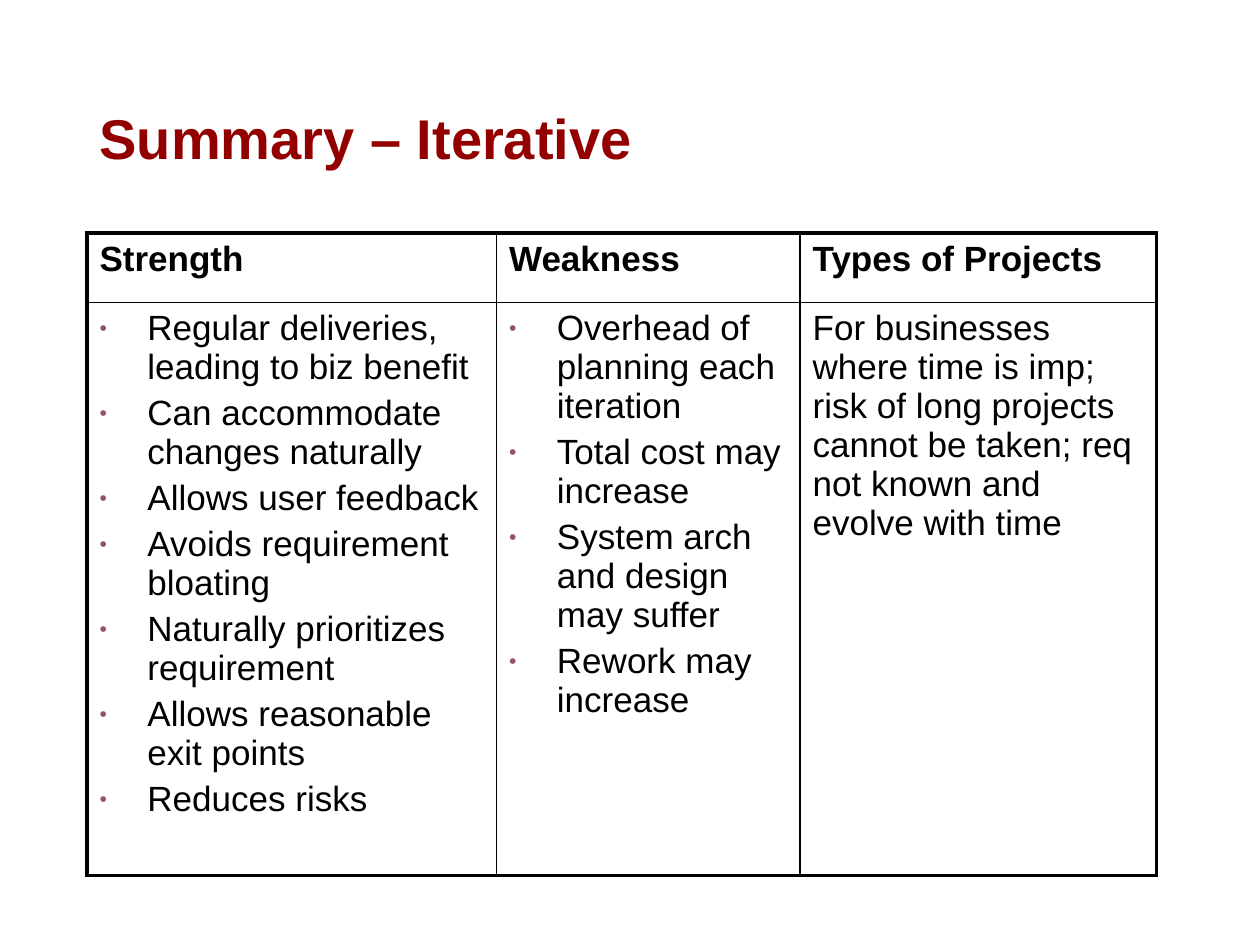
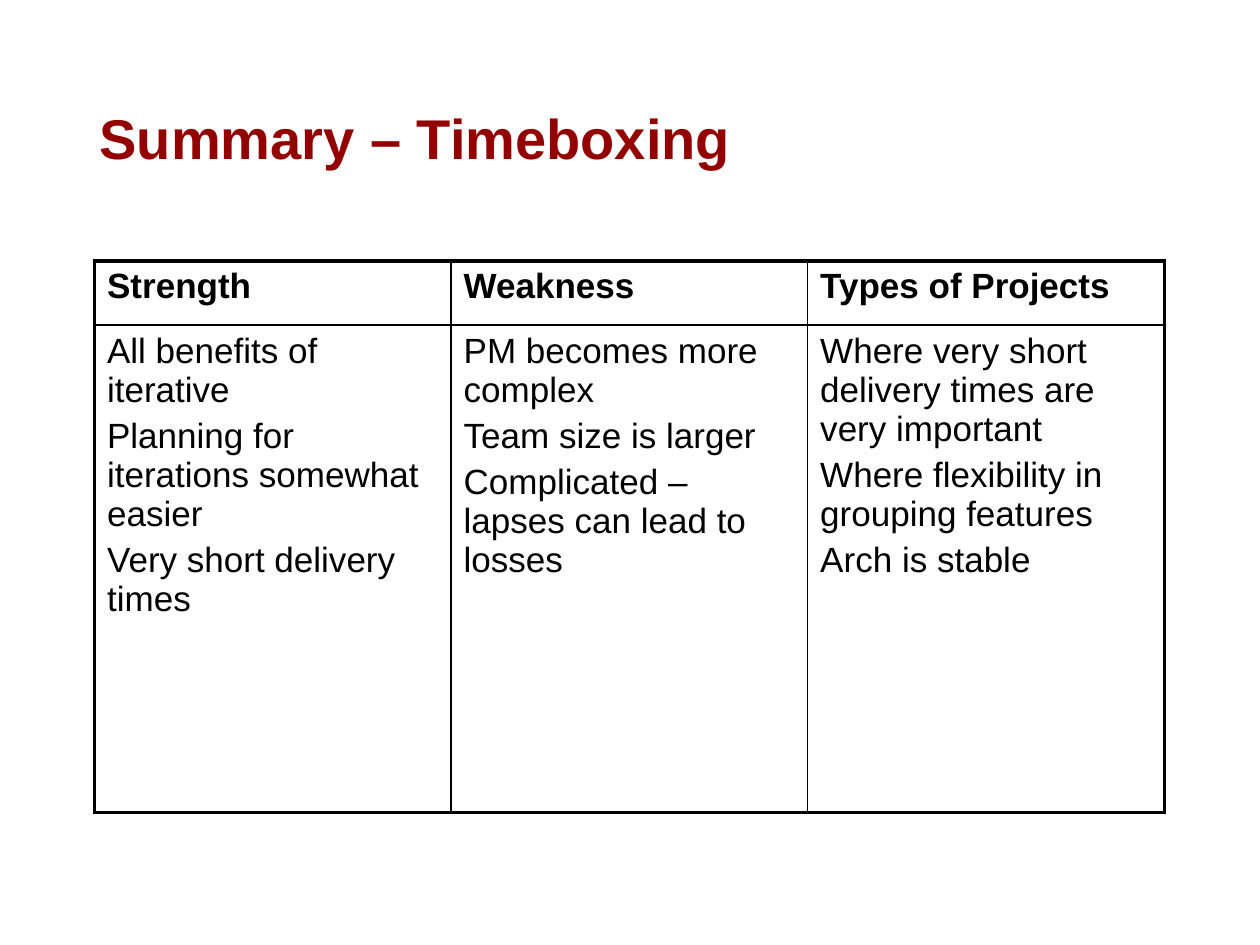
from lxml.etree import SubElement
from pptx import Presentation
from pptx.dml.color import RGBColor
from pptx.enum.text import MSO_ANCHOR as Anchor, MSO_AUTO_SIZE as Fit, PP_ALIGN as Align
from pptx.oxml.ns import qn
from pptx.util import Inches, Pt

HEADS = ["Strength", "Weakness", "Types of Projects"]


def color(text):
    return RGBColor.from_string(text)


class Deck:
    font = "Arial"
    red, ink, dot = "920000", "000000", "954F72"
    thick, thin = 2.25, 1

    def __init__(self):
        self.prs = Presentation()
        self.prs.slide_width, self.prs.slide_height = Inches(10), Inches(7.5)
        self.slide = None

    def style(self, para, size, tint, bold):
        for run in para.runs:
            font = run.font
            font.name, font.size, font.bold = self.font, Pt(size), bold
            font.color.rgb = color(tint)

    def title(self, text):
        self.slide = self.prs.slides.add_slide(self.prs.slide_layouts[5])
        box = self.slide.shapes.title
        box.left, box.top = Inches(0.69), Inches(0.4)
        box.width, box.height = Inches(8.62), Inches(1.45)
        frame = box.text_frame
        frame.text = text
        frame.auto_size, frame.vertical_anchor = Fit.NONE, Anchor.MIDDLE
        para = frame.paragraphs[0]
        para.alignment, para.line_spacing = Align.LEFT, 0.9
        self.style(para, 32, self.red, True)

    def bullet(self, para):
        props = para._p.get_or_add_pPr()
        props.set("marL", str(Inches(0.38)))
        props.set("indent", str(-Inches(0.38)))
        tint = SubElement(props, qn("a:buClr"))
        SubElement(tint, qn("a:srgbClr"), val=self.dot)
        SubElement(props, qn("a:buSzPct"), val="60000")
        SubElement(props, qn("a:buFont"), typeface=self.font)
        SubElement(props, qn("a:buChar"), char="•")

    def border(self, cell, side, width):
        line = SubElement(cell._tc.get_or_add_tcPr(), qn(f"a:ln{side}"), w=str(Pt(width)))
        fill = SubElement(line, qn("a:solidFill"))
        SubElement(fill, qn("a:srgbClr"), val=self.ink)

    def fill(self, cell, lines, bold, dots):
        cell.text_frame.text = "\n".join(lines)
        for i, para in enumerate(cell.text_frame.paragraphs):
            if dots:
                self.bullet(para)
            if i:
                para.space_before = Pt(4)
            self.style(para, 20, self.ink, bold)

    def table(self, left, top, cols, rows, body, dotted=()):
        """Draw a header row above one row of text; dotted lists bulleted columns."""
        frame = self.slide.shapes.add_table(
            len(rows), len(cols), Inches(left), Inches(top), Inches(sum(cols)), Inches(sum(rows)))
        grid = frame.table
        grid.first_row = grid.horz_banding = False
        for col, width in zip(grid.columns, cols):
            col.width = Inches(width)
        for row, height in zip(grid.rows, rows):
            row.height = Inches(height)

        texts = [[[head] for head in HEADS], body]
        for r, row in enumerate(texts):
            for c, lines in enumerate(row):
                cell = grid.cell(r, c)
                self.fill(cell, lines, r == 0, r > 0 and c in dotted)
                # Heavy lines around the outside, fine ones within
                outer = {"L": c == 0, "R": c == len(cols) - 1,
                         "T": r == 0, "B": r == len(rows) - 1}
                for side, edge in outer.items():
                    self.border(cell, side, self.thick if edge else self.thin)
                cell.fill.background()


def main():
    deck = Deck()

    # Iterative model
    deck.title("Summary – Iterative")
    deck.table(0.69, 1.85, [3.25, 2.41, 2.83], [0.55, 4.55], [
        ["Regular deliveries, leading to biz benefit",
         "Can accommodate changes naturally",
         "Allows user feedback",
         "Avoids requirement bloating",
         "Naturally prioritizes requirement",
         "Allows reasonable exit points",
         "Reduces risks"],
        ["Overhead of planning each iteration",
         "Total cost may increase",
         "System arch and design may suffer",
         "Rework may increase"],
        ["For businesses where time is imp; risk of long projects cannot be taken; "
         "req not known and evolve with time"],
    ], dotted=(0, 1))

    # Timeboxing model
    deck.title("Summary – Timeboxing")
    deck.table(0.75, 2.07, [2.83] * 3, [0.51, 3.87], [
        ["All benefits of iterative",
         "Planning for iterations somewhat easier",
         "Very short delivery times"],
        ["PM becomes more complex",
         "Team size is larger",
         "Complicated – lapses can lead to losses"],
        ["Where very short delivery times are very important",
         "Where flexibility in grouping features",
         "Arch is stable"],
    ])

    deck.prs.save("out.pptx")


if __name__ == "__main__":
    main()
